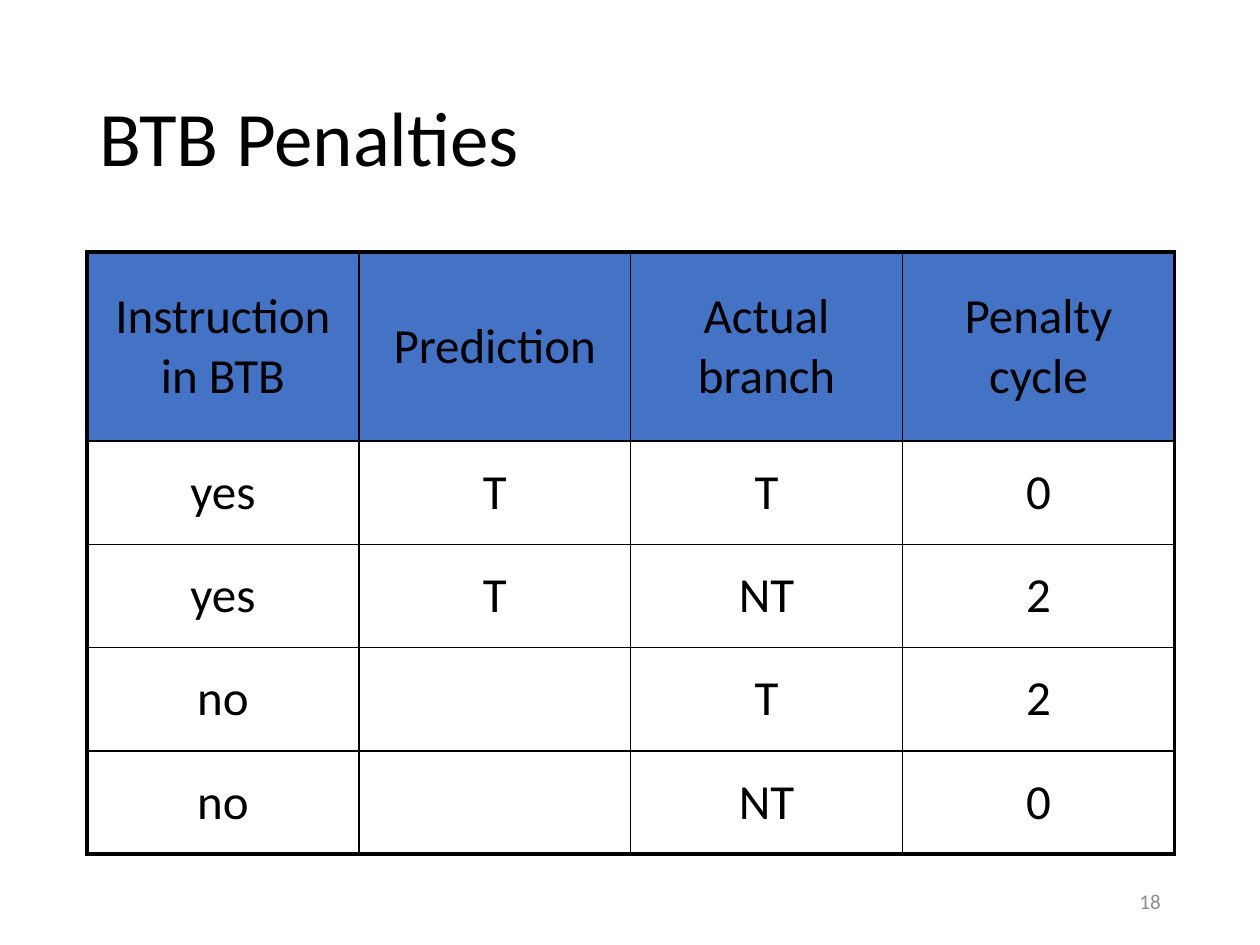
from lxml import etree
from pptx import Presentation
from pptx.dml.color import RGBColor
from pptx.enum.text import MSO_ANCHOR, PP_ALIGN
from pptx.oxml.ns import qn
from pptx.util import Inches, Pt

MIDDLE = MSO_ANCHOR.MIDDLE
LEFT, CENTER, RIGHT = PP_ALIGN.LEFT, PP_ALIGN.CENTER, PP_ALIGN.RIGHT
THIN, THICK = Pt(1), Pt(2.25)


def color(value):
    return RGBColor.from_string(value)


def write(para, text, size, ink, align):
    para.alignment = align
    span = para.add_run()
    span.text = text
    span.font.name = "Calibri"
    span.font.size = Pt(size)
    span.font.color.rgb = color(ink)


deck = Presentation()
deck.slide_width = Inches(10)
deck.slide_height = Inches(7.5)
page = deck.slides.add_slide(deck.slide_layouts[6])

labels = [
    ("BTB Penalties", 0.69, 0.4, 8.62, 1.45, 44, "000000", LEFT),
    ("18", 7.06, 6.95, 2.25, 0.4, 12, "8C8C8C", RIGHT),
]
for text, left, top, width, height, size, ink, align in labels:
    box = page.shapes.add_textbox(Inches(left), Inches(top), Inches(width), Inches(height))
    box.text_frame.word_wrap = True
    box.text_frame.vertical_anchor = MIDDLE
    para = box.text_frame.paragraphs[0]
    para.line_spacing = 0.9 if size == 44 else 1.0
    write(para, text, size, ink, align)

rows = [
    ["Instruction in BTB", "Prediction", "Actual branch", "Penalty cycle"],
    ["yes", "T", "T", "0"],
    ["yes", "T", "NT", "2"],
    ["no", "", "T", "2"],
    ["no", "", "NT", "0"],
]
last_row, last_column = len(rows) - 1, len(rows[0]) - 1
frame = page.shapes.add_table(
    len(rows), len(rows[0]), Inches(0.69), Inches(2), Inches(8.63), Inches(4.8)
)
table = frame.table
table.first_row = False
table.horz_banding = False
for column in table.columns:
    column.width = Inches(8.63 / 4)

for r, values in enumerate(rows):
    table.rows[r].height = Inches(1.5 if r == 0 else 0.82)
    for c, value in enumerate(values):
        cell = table.cell(r, c)
        cell.vertical_anchor = MIDDLE
        edges = {
            "a:lnL": c == 0,
            "a:lnR": c == last_column,
            "a:lnT": r == 0,
            "a:lnB": r == last_row,
        }
        properties = cell._tc.get_or_add_tcPr()
        for tag, outer in edges.items():
            line = etree.SubElement(properties, qn(tag), w=str(THICK if outer else THIN))
            fill = etree.SubElement(line, qn("a:solidFill"))
            etree.SubElement(fill, qn("a:srgbClr"), val="000000")
        if r == 0:
            cell.fill.solid()
            cell.fill.fore_color.rgb = color("4472C4")
        else:
            cell.fill.background()
        if value:
            write(cell.text_frame.paragraphs[0], value, 28, "000000", CENTER)

deck.save("out.pptx")
